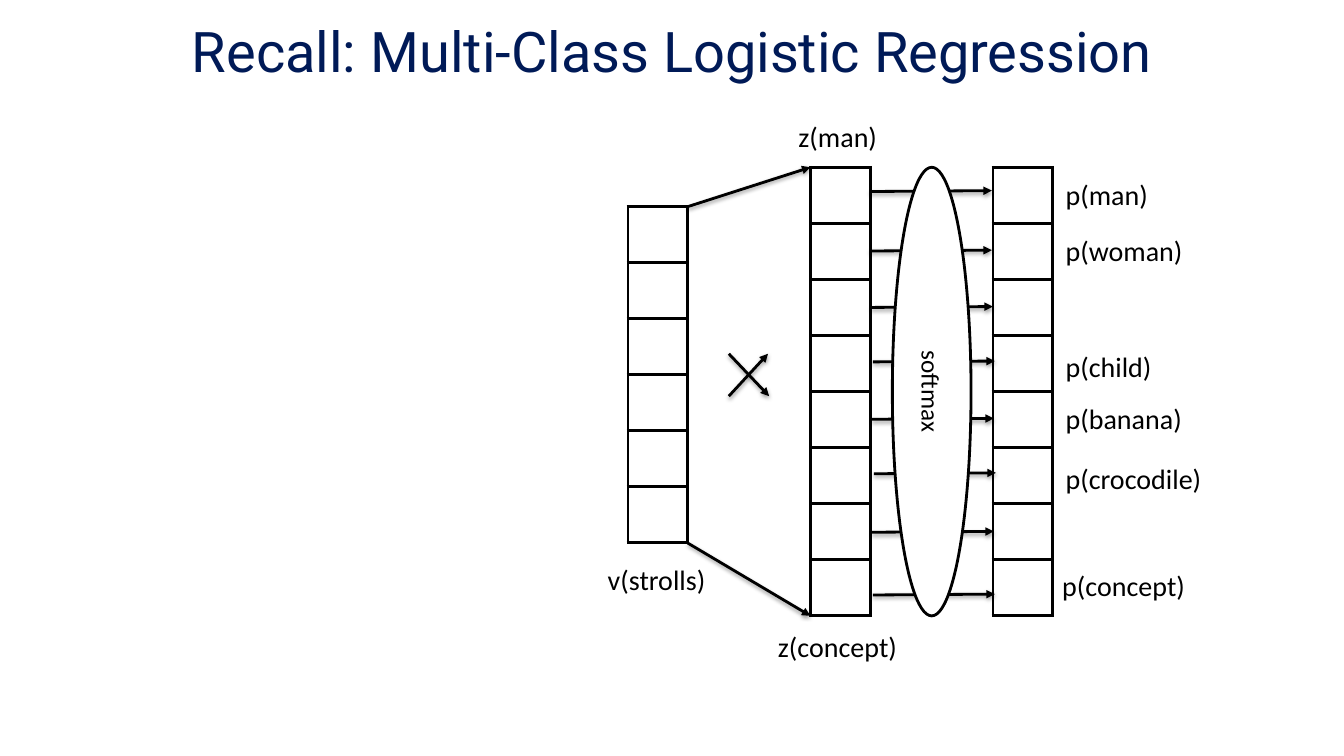
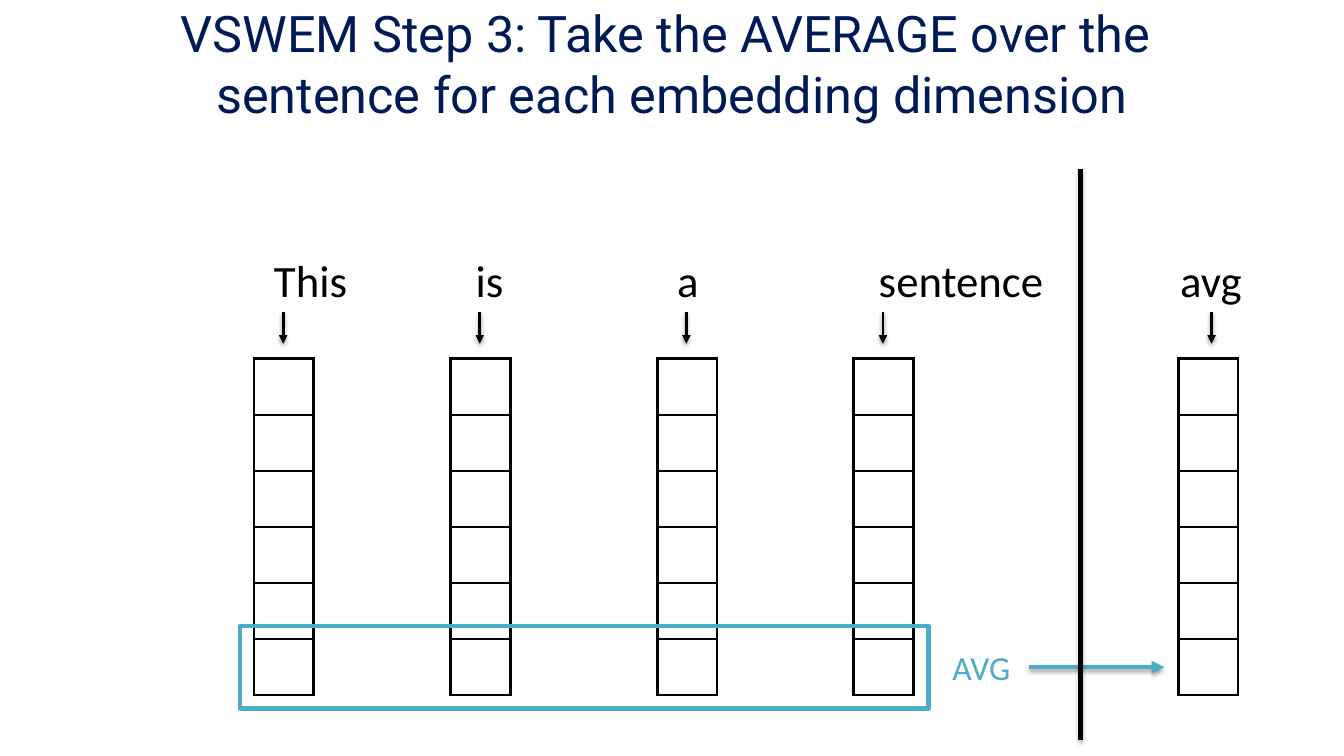
from typing import Any, NamedTuple

from lxml.etree import SubElement
from pptx import Presentation
from pptx.dml.color import RGBColor
from pptx.enum.shapes import MSO_CONNECTOR as Connector, MSO_SHAPE as Shape
from pptx.enum.text import MSO_ANCHOR as Anchor, MSO_AUTO_SIZE as AutoSize, PP_ALIGN as Align
from pptx.oxml.ns import qn
from pptx.util import Pt

COLORS = {"title": "001A57", "ink": "000000", "paper": "FFFFFF", "accent": "4BACC6"}
BODY_FONT, TITLE_FONT = "Calibri", "Roboto"
CELL_W, CELL_H = 42.7, 40.05
BORDER = 2.25


class Label(NamedTuple):
    text: str
    x: float
    y: float
    w: float
    size: int = 20
    color: str = "ink"
    tab_gap: float = 0


class Vector(NamedTuple):
    """A one-column table standing for a vector."""
    x: float
    y: float
    rows: int


class Line(NamedTuple):
    x1: float
    y1: float
    x2: float
    y2: float
    color: str = "ink"
    width: float = 2
    arrow: bool = True


def rgb(name: str) -> RGBColor:
    return RGBColor.from_string(COLORS[name])


def set_all(target: Any, values: dict[str, Any]) -> None:
    for name, value in values.items():
        setattr(target, name, value)


def add_node(parent: Any, tag: str, **attrs: Any) -> Any:
    return SubElement(parent, qn(tag), {k: str(v) for k, v in attrs.items()})


def write(tf: Any, text: str, font: str, size: float, color: str, align: Align) -> None:
    p = tf.paragraphs[0]
    p.text = text
    p.alignment = align
    for r in p.runs:
        set_all(r.font, {"name": font, "size": Pt(size)})
        r.font.color.rgb = rgb(color)


def add_title(s: Any, text: str, x: float, w: float, h: float, size: float) -> None:
    tf = s.shapes.add_textbox(Pt(x), Pt(0), Pt(w), Pt(h)).text_frame
    set_all(tf, {"word_wrap": True, "vertical_anchor": Anchor.MIDDLE})
    write(tf, text, TITLE_FONT, size, "title", Align.CENTER)


def add_label(s: Any, label: Label) -> None:
    """Draw one line of text, with a tab stop at every tab_gap."""
    height = label.size * 1.22 + 7.2
    tf = s.shapes.add_textbox(Pt(label.x), Pt(label.y), Pt(label.w), Pt(height)).text_frame
    set_all(tf, {"word_wrap": False, "auto_size": AutoSize.SHAPE_TO_FIT_TEXT})
    write(tf, label.text, BODY_FONT, label.size, label.color, Align.LEFT)
    if label.tab_gap:
        stops = add_node(tf.paragraphs[0]._p.get_or_add_pPr(), "a:tabLst")
        for i in range(label.text.count("\t")):
            add_node(stops, "a:tab", pos=Pt(label.tab_gap * (i + 1)), algn="l")


def add_vector(s: Any, v: Vector) -> None:
    table = s.shapes.add_table(v.rows, 1, Pt(v.x), Pt(v.y), Pt(CELL_W), Pt(CELL_H * v.rows)).table
    set_all(table, {"first_row": False, "horz_banding": False})
    for row in table.rows:
        row.height = Pt(CELL_H)
        cell = row.cells[0]
        props = cell._tc.get_or_add_tcPr()
        for side in "LRTB":
            ln = add_node(props, f"a:ln{side}", w=Pt(BORDER))
            add_node(add_node(ln, "a:solidFill"), "a:srgbClr", val=COLORS["ink"])
        cell.fill.background()


def add_line(s: Any, line: Line) -> None:
    """Draw a line with a soft shadow below it."""
    c = s.shapes.add_connector(Connector.STRAIGHT, Pt(line.x1), Pt(line.y1), Pt(line.x2), Pt(line.y2))
    c.line.color.rgb = rgb(line.color)
    c.line.width = Pt(line.width)
    props = c._element.spPr
    if line.arrow:
        add_node(props.find(qn("a:ln")), "a:tailEnd", type="triangle")
    thin = line.width < 3
    shadow = add_node(add_node(props, "a:effectLst"), "a:outerShdw", blurRad=Pt(3.1),
                      dist=Pt(1.6 if thin else 1.8), dir=90 * 60000, rotWithShape=0)
    shade = add_node(shadow, "a:srgbClr", val=COLORS["ink"])
    add_node(shade, "a:alpha", val=38000 if thin else 35000)


def add_outline(s: Any, kind: Shape, box: tuple[float, ...], color: str, width: float) -> Any:
    shape = s.shapes.add_shape(kind, *map(Pt, box))
    shape.shadow.inherit = False
    shape.fill.background()
    shape.line.color.rgb = rgb(color)
    shape.line.width = Pt(width)
    return shape


def add_softmax(s: Any, box: tuple[float, ...]) -> None:
    ellipse = add_outline(s, Shape.OVAL, box, "ink", 2)
    ellipse.fill.solid()
    ellipse.fill.fore_color.rgb = rgb("paper")
    tf = ellipse.text_frame
    margins = dict.fromkeys(("margin_left", "margin_right", "margin_top", "margin_bottom"), Pt(0))
    set_all(tf, {**margins, "vertical_anchor": Anchor.MIDDLE})
    tf._txBody.bodyPr.set("vert", "vert")
    write(tf, "softmax", BODY_FONT, 18, "ink", Align.CENTER)


def build_regression(s: Any) -> None:
    add_title(s, "Recall: Multi-Class Logistic Regression", 48, 864, 72, 40)

    word = Vector(448.6, 147.6, 6)
    scores = Vector(578.9, 119.5, 8)
    probs = Vector(709.2, 119.5, 8)
    for vector in (word, scores, probs):
        add_vector(s, vector)

    prob_x = 754.1
    for label in (
        Label("v(strolls)", 427, 398.2, 85),
        Label("z(man)", 563.2, 82.1, 71.3),
        Label("z(concept)", 548.6, 446, 100.8),
        Label("p(man)", prob_x, 123.5, 74.2),
        Label("p(woman)", prob_x, 163.4, 98.6),
        Label("p(child)", prob_x, 246.2, 76.3),
        Label("p(banana)", prob_x, 283, 98.6),
        Label("p(crocodile)", prob_x, 326.2, 112.3),
        Label("p(concept)", 751.7, 402.5, 103),
    ):
        add_label(s, label)

    word_right = word.x + CELL_W
    for line in (
        Line(word_right, word.y, scores.x, scores.y),
        Line(word_right, word.y + word.rows * CELL_H, scores.x, scores.y + scores.rows * CELL_H),
        Line(520.6, 283, 548.6, 252.7),
        Line(520.6, 252.7, 549.4, 283),
    ):
        add_line(s, line)

    softmax_starts = ((621.4, 136.8), (621.4, 179.3), (622.1, 219.6), (623.5, 258.5),
                      (622.8, 299.5), (624.2, 338.4), (622.8, 380.2), (623.5, 425))
    for x, y in softmax_starts:
        add_line(s, Line(x, y, x + 87.1, y - 0.6))
    add_softmax(s, (637.4, 119.5, 56.2, 320.4))


def build_average(s: Any) -> None:
    add_title(s, "VSWEM Step 3: Take the AVERAGE over the \vsentence for each embedding dimension",
              0, 960, 90, 36)

    word_y, vector_y = 177.1, 256.3
    add_label(s, Label("This\tis\ta\tsentence", 188.6, word_y, 569.5, 32, tab_gap=144))
    add_label(s, Label("avg", 835.9, word_y, 59, 32))

    for vector_x, arrow_x in ((181.4, 202.3), (321.8, 342.7), (469.4, 490.3),
                              (609.8, 630.7), (841.7, 865.4)):
        add_vector(s, Vector(vector_x, vector_y, 6))
        add_line(s, Line(arrow_x, 223.2, arrow_x, 245.5))

    add_outline(s, Shape.RECTANGLE, (171.4, 447.1, 491.8, 59), "accent", 3)
    add_label(s, Label("AVG", 673.2, 458.6, 56.2, 24, "accent"))
    add_line(s, Line(735.1, 476.6, 831.6, 476.6, "accent", 3))
    add_line(s, Line(771.8, 121, 771.8, 528.5, width=3, arrow=False))


def main() -> None:
    prs = Presentation()
    set_all(prs, {"slide_width": Pt(960), "slide_height": Pt(540)})
    for build in (build_regression, build_average):
        build(prs.slides.add_slide(prs.slide_layouts[6]))
    prs.save("out.pptx")


if __name__ == "__main__":
    main()
